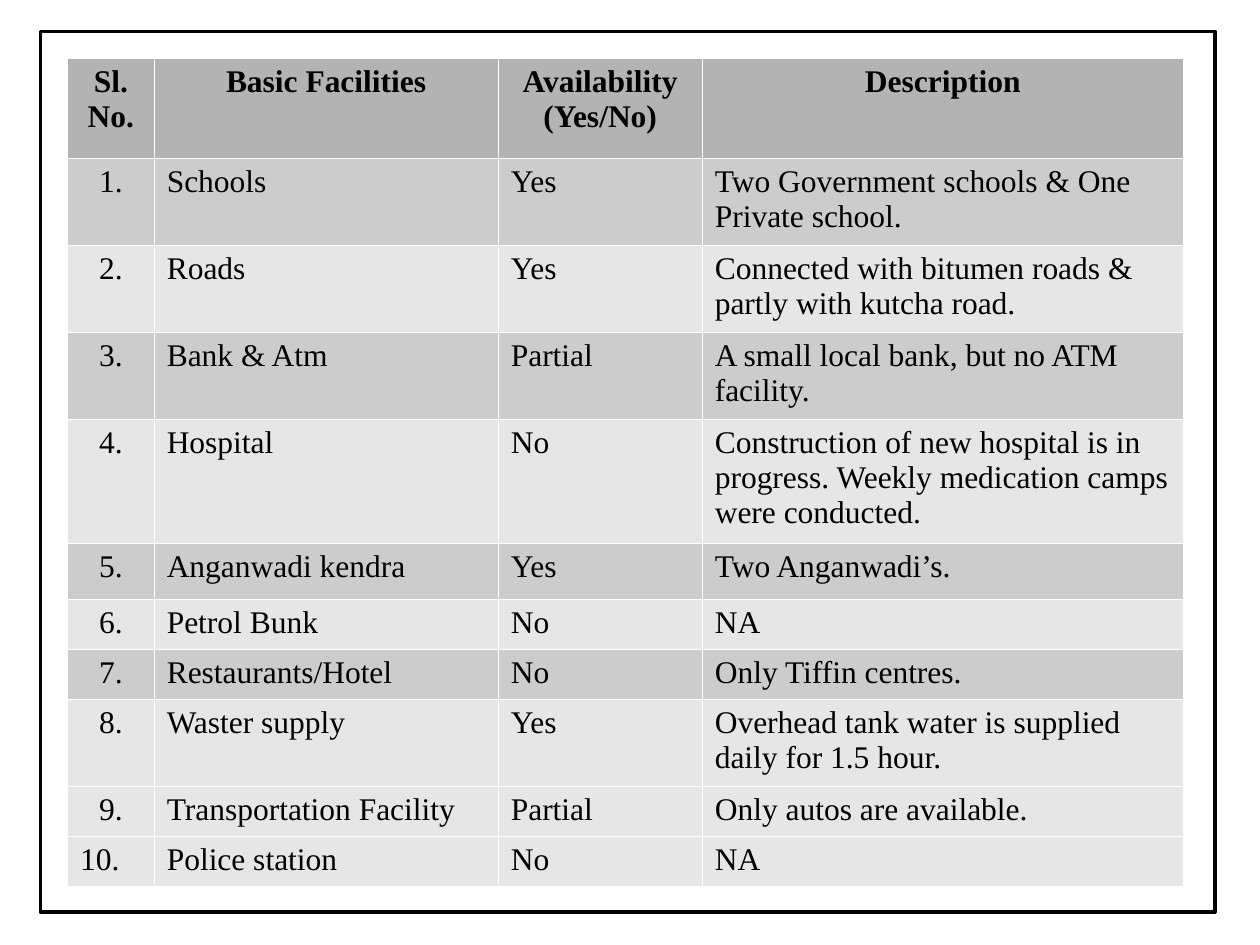
import pptx
import pptx.dml.color
import pptx.enum.shapes
import pptx.enum.text
import pptx.oxml
import pptx.oxml.ns
import pptx.util

Pt = pptx.util.Pt
ALIGN = pptx.enum.text.PP_ALIGN

COLOURS = {
    "ink": "000000",
    "rule": "FFFFFF",
    "header": "B3B3B3",
    "dark": "CCCCCC",
    "light": "E6E6E6",
}
HEADINGS = ("Sl. No.", "Basic Facilities", "Availability (Yes/No)", "Description")
# Facility, availability, description, row height
FACILITIES = [
    ("Schools", "Yes", "Two Government schools & One Private school.", 49.7),
    ("Roads", "Yes", "Connected with bitumen roads & partly with kutcha road.", 49.7),
    ("Bank & Atm", "Partial", "A small local bank, but no ATM facility.", 49.7),
    ("Hospital", "No", "Construction of new hospital is in progress. "
     "Weekly medication camps were conducted.", 70.8),
    ("Anganwadi kendra", "Yes", "Two Anganwadi’s.", 32),
    ("Petrol Bunk", "No", "NA", 28.6),
    ("Restaurants/Hotel", "No", "Only Tiffin centres.", 28.6),
    ("Waster supply", "Yes", "Overhead tank water is supplied daily for 1.5 hour.", 49.7),
    ("Transportation Facility", "Partial", "Only autos are available.", 28.6),
    ("Police station", "No", "NA", 28.6),
]
HEADER_HEIGHT = 57.2
COLUMN_WIDTHS = (49.5, 196.6, 116.6, 275)


def rgb(name):
    return pptx.dml.color.RGBColor.from_string(COLOURS[name])


def write_text(text_frame, text, size=18, bold=False, align=ALIGN.LEFT, colour="ink"):
    paragraph = text_frame.paragraphs[0]
    paragraph.alignment = align
    span = paragraph.add_run()
    span.text = text
    span.font.name = "Times New Roman"
    span.font.size = Pt(size)
    span.font.bold = bold
    span.font.color.rgb = rgb(colour)


def add_frame(page):
    frame = page.shapes.add_shape(
        pptx.enum.shapes.MSO_SHAPE.RECTANGLE, Pt(23.2), Pt(18), Pt(671), Pt(503.3))
    frame.shadow.inherit = False
    frame.fill.background()
    frame.line.color.rgb = rgb("ink")
    frame.line.width = Pt(2)


def style_cell(cell, fill):
    properties = cell._tc.get_or_add_tcPr()
    for side in ("lnL", "lnR", "lnT", "lnB"):
        properties.append(pptx.oxml.parse_xml(
            f'<a:{side} {pptx.oxml.ns.nsdecls("a")} w="{Pt(0.06)}"><a:solidFill>'
            f'<a:srgbClr val="{COLOURS["rule"]}"/></a:solidFill></a:{side}>'))
    cell.fill.solid()
    cell.fill.fore_color.rgb = rgb(fill)


def add_facilities_table(page):
    heights = [HEADER_HEIGHT] + [facility[-1] for facility in FACILITIES]
    table = page.shapes.add_table(
        len(heights), len(COLUMN_WIDTHS), Pt(38.6), Pt(33.4),
        Pt(sum(COLUMN_WIDTHS)), Pt(sum(heights))).table
    for column, width in zip(table.columns, COLUMN_WIDTHS):
        column.width = Pt(width)
    for row, height in zip(table.rows, heights):
        row.height = Pt(height)

    # Header row
    for cell, heading in zip(table.rows[0].cells, HEADINGS):
        style_cell(cell, "header")
        write_text(cell.text_frame, heading, bold=True, align=ALIGN.CENTER)

    # Banded up to row 8; one-digit numbers are centred
    for number, (*values, _) in enumerate(FACILITIES, start=1):
        fill = "dark" if number % 2 and number < 9 else "light"
        for index, text in enumerate([f"{number}.", *values]):
            cell = table.cell(number, index)
            style_cell(cell, fill)
            centred = index == 0 and number < 10
            write_text(cell.text_frame, text,
                       align=ALIGN.CENTER if centred else ALIGN.LEFT)


def main():
    deck = pptx.Presentation()
    deck.slide_width, deck.slide_height = Pt(720), Pt(540)
    page = deck.slides.add_slide(deck.slide_layouts[6])
    add_frame(page)
    add_facilities_table(page)
    deck.save("out.pptx")


if __name__ == "__main__":
    main()
